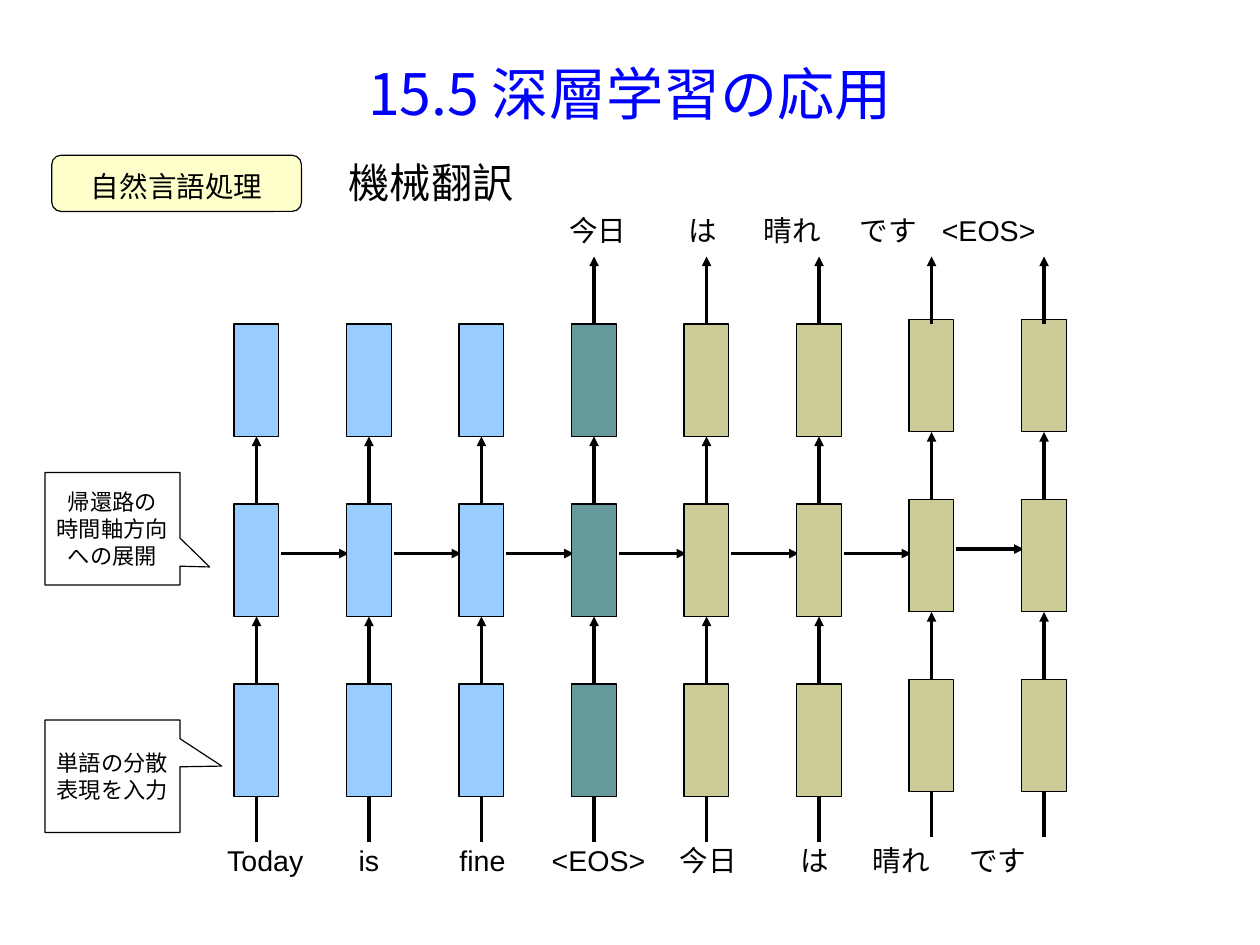
from dataclasses import dataclass

from lxml.etree import SubElement
from pptx import Presentation
from pptx.dml.color import RGBColor
from pptx.enum.shapes import MSO_CONNECTOR, MSO_SHAPE
from pptx.enum.text import MSO_ANCHOR, PP_ALIGN
from pptx.oxml.ns import qn
from pptx.util import Cm, Pt


@dataclass(frozen=True)
class Theme:
    black: str = "000000"
    title: str = "0000FF"
    badge: str = "FFFFCC"
    encoder: str = "99CCFF"
    boundary: str = "669999"
    decoder: str = "CCCC99"
    latin: str = "Arial"
    serif: str = "Times New Roman"
    cjk: str = "Noto Sans CJK JP"
    title_size: int = 36
    heading_size: int = 26
    label_size: int = 18
    note_size: int = 14


@dataclass(frozen=True)
class Box:
    left: float
    top: float
    width: float
    height: float


@dataclass(frozen=True)
class Column:
    fill: str
    lift: float = 0
    has_output: bool = False


@dataclass(frozen=True)
class WordRow:
    box: Box
    words: tuple[str, ...]
    tabs: tuple[float, ...]


@dataclass(frozen=True)
class Callout:
    box: Box
    tail: tuple[float, float]
    text: str


T = Theme()

# Network grid, in centimetres
CELL_W, CELL_H = 1.0, 2.5
FIRST_LEFT, PITCH = 5.2, 2.5
LAYER_TOPS = (7.2, 11.2, 15.2)
LAYER_GAP = 1.5
COLUMNS = (
    [Column(T.encoder)] * 3
    + [Column(T.boundary, has_output=True)]
    + [Column(T.decoder, has_output=True)] * 2
    + [Column(T.decoder, lift=0.1, has_output=True)] * 2
)

WORD_ROWS = (
    WordRow(Box(4.8, 18.6, 10, 1), ("Today", "is", "fine", "<EOS>"), (2.92, 5.16, 7.21)),
    WordRow(Box(14.86, 18.6, 9.25, 1.2), ("今日", "は", "晴れ", "です"), (2.67, 4.29, 6.43)),
    WordRow(Box(12.4, 4.6, 12.17, 1.2), ("今日", "は", "晴れ", "です", "<EOS>"),
            (2.64, 4.32, 6.45, 8.28)),
)

CALLOUTS = (
    Callout(Box(1, 10.5, 3, 2.5), (0.72, 0.34), "帰還路の\n時間軸方向\nへの展開"),
    Callout(Box(1, 16, 3, 2.5), (0.81, -0.09), "単語の分散\n表現を入力"),
)


def place(box: Box) -> tuple:
    return Cm(box.left), Cm(box.top), Cm(box.width), Cm(box.height)


def write(sp, text: str, size: int, font: str = T.latin, color: str = T.black,
          align=PP_ALIGN.LEFT, cjk: str = T.cjk) -> None:
    tf = sp.text_frame
    tf.text = text
    for p in tf.paragraphs:
        p.alignment = align
        for r in p.runs:
            r.font.size = Pt(size)
            r.font.name = font
            r.font.color.rgb = RGBColor.from_string(color)
            SubElement(r.font._element, qn("a:ea"), typeface=cjk)


def add_outlined(s, kind, box: Box, fill: str | None):
    sp = s.shapes.add_shape(kind, *place(box))
    sp.shadow.inherit = False
    if fill:
        sp.fill.solid()
        sp.fill.fore_color.rgb = RGBColor.from_string(fill)
    else:
        sp.fill.background()
    sp.line.color.rgb = RGBColor.from_string(T.black)
    sp.line.width = Pt(0)
    sp.text_frame.vertical_anchor = MSO_ANCHOR.MIDDLE
    sp.text_frame.word_wrap = False
    return sp


def add_line(s, x1: float, y1: float, x2: float, y2: float, arrow: bool = True) -> None:
    line = s.shapes.add_connector(MSO_CONNECTOR.STRAIGHT, Cm(x1), Cm(y1), Cm(x2), Cm(y2))
    line.line.color.rgb = RGBColor.from_string(T.black)
    line.line.width = Pt(0)
    if arrow:
        SubElement(line.line._get_or_add_ln(), qn("a:tailEnd"), type="triangle")
    SubElement(line._element.spPr, qn("a:effectLst"))


def add_text(s, box: Box, text: str, size: int):
    sp = s.shapes.add_textbox(*place(box))
    sp.text_frame.word_wrap = True
    write(sp, text, size)
    return sp


def add_column(s, index: int, column: Column) -> None:
    left = FIRST_LEFT + index * PITCH
    center = left + CELL_W / 2
    for layer, top in enumerate(LAYER_TOPS):
        y = top - column.lift
        add_outlined(s, MSO_SHAPE.RECTANGLE, Box(left, y, CELL_W, CELL_H), column.fill)
        if layer > 0:
            add_line(s, center, y, center, y - LAYER_GAP)
    # Input stem, recurrent link and output arrow
    bottom = LAYER_TOPS[-1] + CELL_H - column.lift
    add_line(s, center, bottom, center, bottom + 1, arrow=False)
    if index < len(COLUMNS) - 1:
        y = LAYER_TOPS[1] + 1.1 - column.lift
        add_line(s, left + CELL_W + 0.05, y, left + PITCH + 0.05, y)
    if column.has_output:
        add_line(s, center, LAYER_TOPS[0], center, LAYER_TOPS[0] - LAYER_GAP)


def add_words(s, row: WordRow) -> None:
    sp = add_text(s, row.box, "\t".join(row.words), T.label_size)
    tabs = SubElement(sp.text_frame.paragraphs[0]._p.get_or_add_pPr(), qn("a:tabLst"))
    for position in row.tabs:
        SubElement(tabs, qn("a:tab"), pos=str(Cm(position)), algn="l")


def add_callout(s, callout: Callout) -> None:
    sp = add_outlined(s, MSO_SHAPE.RECTANGULAR_CALLOUT, callout.box, None)
    sp.adjustments[0], sp.adjustments[1] = callout.tail
    write(sp, callout.text, T.note_size, align=PP_ALIGN.CENTER)


def main() -> None:
    prs = Presentation()
    prs.slide_width, prs.slide_height = Cm(28), Cm(21)
    s = prs.slides.add_slide(prs.slide_layouts[5])

    # Title and headings
    title = s.shapes.title
    title.left, title.top, title.width, title.height = place(Box(1.4, 0.84, 25.2, 2.44))
    tf = title.text_frame
    tf.margin_left = tf.margin_right = tf.margin_top = tf.margin_bottom = 0
    tf.vertical_anchor = MSO_ANCHOR.MIDDLE
    write(title, "15.5 深層学習の応用", T.title_size, T.cjk, T.title, PP_ALIGN.CENTER)

    badge = add_outlined(s, MSO_SHAPE.ROUNDED_RECTANGLE, Box(1.15, 3.45, 5.55, 1.25), T.badge)
    write(badge, "自然言語処理", T.label_size, T.serif, align=PP_ALIGN.CENTER)
    badge.text_frame.paragraphs[0].line_spacing = 1.15
    add_text(s, Box(7.5, 3.38, 8.76, 1.62), "機械翻訳", T.heading_size)

    # Unrolled network, words and callouts
    for index, column in enumerate(COLUMNS):
        add_column(s, index, column)
    for row in WORD_ROWS:
        add_words(s, row)
    for callout in CALLOUTS:
        add_callout(s, callout)

    prs.save("out.pptx")


if __name__ == "__main__":
    main()
